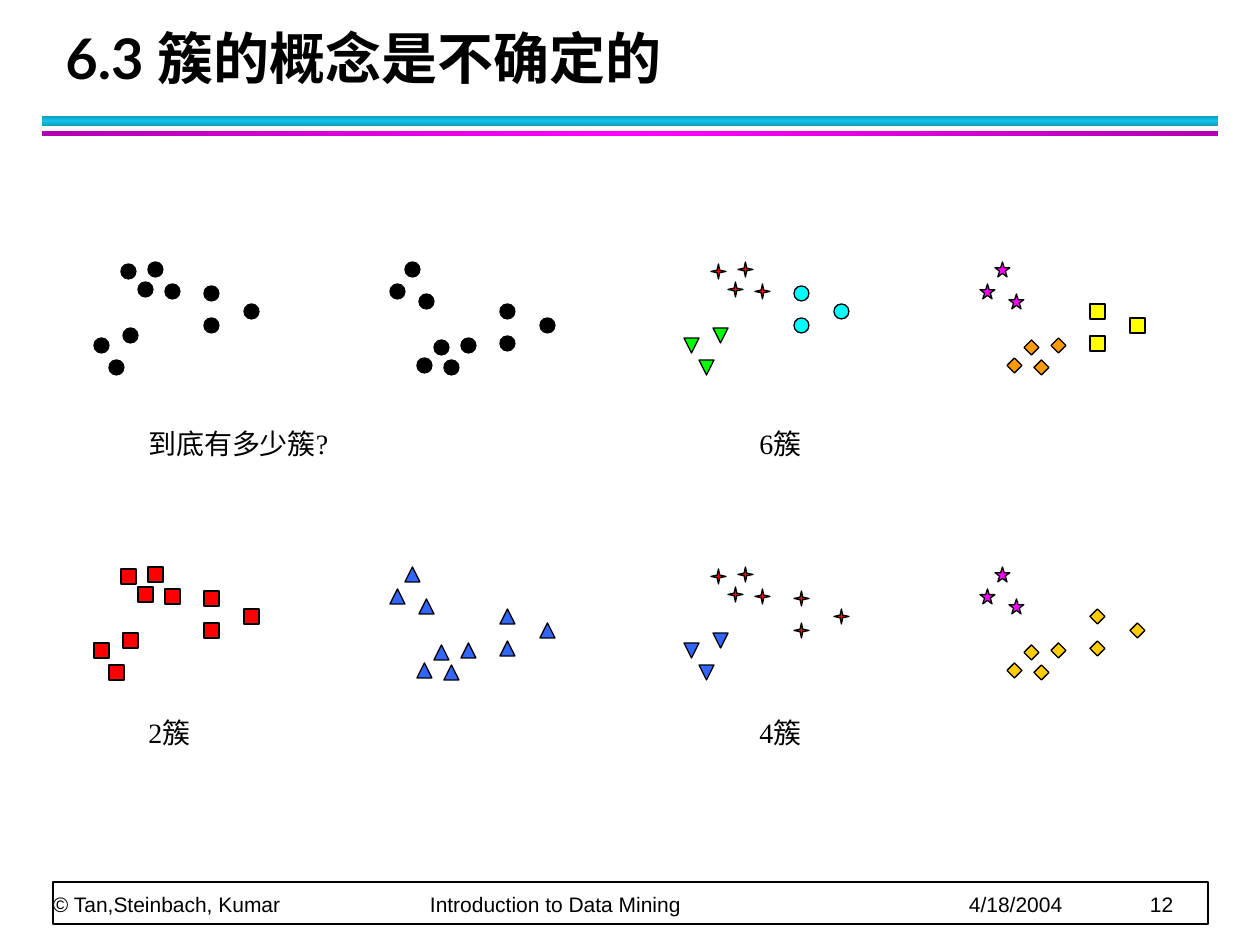
from copy import deepcopy

from lxml.etree import SubElement
from pptx import Presentation
from pptx.dml.color import RGBColor
from pptx.enum.shapes import MSO_SHAPE
from pptx.enum.text import MSO_ANCHOR
from pptx.oxml.ns import qn
from pptx.util import Emu, Pt

COLORS = {
    "black": "000000", "white": "FFFFFF", "red": "FF0000", "blue": "3366FF",
    "green": "00FF00", "cyan": "00FFFF", "magenta": "FF00FF",
    "orange": "FF9900", "yellow": "FFFF00", "gold": "FFCC00",
    "sky": "12C2E9", "sky_dark": "0E9BBA", "purple": "B200B2",
}
MARKERS = {
    "circle": MSO_SHAPE.OVAL, "square": MSO_SHAPE.RECTANGLE,
    "triangle": MSO_SHAPE.ISOSCELES_TRIANGLE, "diamond": MSO_SHAPE.DIAMOND,
    "star4": MSO_SHAPE.STAR_4_POINT, "star5": MSO_SHAPE.STAR_5_POINT,
    "down": MSO_SHAPE.ISOSCELES_TRIANGLE,
}
# Marker offsets in the left half; the right half is its vertical mirror.
FOUR = [(71, 22), (27, 2), (54, 0), (44, 20)]
THREE = [(29, 66), (0, 76), (15, 98)]
SIDE = [(110, 24), (150, 42), (110, 56)]
MARKER_SIZE, MIRROR_HEIGHT, HALF_SHIFT = 15, 98, 296

# Styles follow the order left (four, three, side), right (four, three, side).
BLACK, RED_SQUARE = ("circle", "black"), ("square", "red")
BLUE_UP, BLUE_DOWN = ("triangle", "blue"), ("down", "blue")
RED_STAR, PINK_STAR = ("star4", "red"), ("star5", "magenta")
GOLD = ("diamond", "gold")
PANELS = [  # column, row, caption, styles
    (0, 0, "到底有多少簇?", [BLACK] * 6),
    (1, 1, "4簇", [RED_STAR, BLUE_DOWN, RED_STAR, GOLD, PINK_STAR, GOLD]),
    (0, 1, "2簇", [RED_SQUARE] * 3 + [BLUE_UP] * 3),
    (1, 0, "6簇", [RED_STAR, ("down", "green"), ("circle", "cyan"),
                  ("diamond", "orange"), PINK_STAR, ("square", "yellow")]),
]


def px(n):
    return Emu(round(n * 914400 / 126))


def color(name):
    return RGBColor.from_string(COLORS[name])


def add_shape(shapes, kind, x, y, w, h, fill=None, line=None, width=0.75):
    sp = shapes.add_shape(kind, px(x), px(y), px(w), px(h))
    sp.shadow.inherit = False
    if fill:
        sp.fill.solid()
        sp.fill.fore_color.rgb = color(fill)
    if line:
        sp.line.color.rgb = color(line)
        sp.line.width = Pt(width)
    else:
        sp.line.fill.background()
    return sp


def add_text(shapes, text, x, y, w, h, font, size, bold=False,
             anchor=MSO_ANCHOR.TOP, spacing=None, inset=True, tabs=()):
    tf = shapes.add_textbox(px(x), px(y), px(w), px(h)).text_frame
    tf.word_wrap = True
    tf.vertical_anchor = anchor
    if not inset:
        tf.margin_left = tf.margin_right = tf.margin_top = tf.margin_bottom = 0
    p = tf.paragraphs[0]
    if spacing:
        p.line_spacing = Pt(spacing)
    if tabs:
        tab_list = SubElement(p._p.get_or_add_pPr(), qn("a:tabLst"))
        for pos in tabs:
            SubElement(tab_list, qn("a:tab"), pos=str(px(pos)), algn="l")
    r = p.add_run()
    r.text = text
    r.font.name, r.font.size, r.font.bold = font, Pt(size), bold
    r.font.color.rgb = color("black")


def add_gradient_bar(shapes, x, y, w, h, edge, middle, angle):
    """Bar whose colour runs from edge to middle and back."""
    sp = add_shape(shapes, MSO_SHAPE.RECTANGLE, x, y, w, h)
    sp.fill.gradient()
    sp.fill.gradient_angle = angle
    stops = sp._element.spPr.find(".//" + qn("a:gsLst"))
    stops.append(deepcopy(stops[0]))
    for stop, name, pos in zip(sp.fill.gradient_stops,
                               (edge, middle, edge), (0, 0.5, 1)):
        stop.color.rgb = color(name)
        stop.position = pos


def add_header(shapes, x, y, w):
    add_gradient_bar(shapes, x, y + 95, w, 10, "sky_dark", "sky", 90)
    add_gradient_bar(shapes, x, y + 110, w, 5, "purple", "magenta", 0)
    add_text(shapes, "6.3 簇的概念是不确定的", x + 11, y, w - 34, 76, "Lato", 32,
             bold=True, anchor=MSO_ANCHOR.BOTTOM, spacing=36)


def add_footer(shapes, x, y, w, h):
    add_shape(shapes, MSO_SHAPE.RECTANGLE, x, y, w, h, "white", "black", 1)
    add_text(shapes, "© Tan,Steinbach, Kumar\tIntroduction to Data Mining"
             "\t4/18/2004\t12", x, y - 35, w, 70, "Arial", 12,
             anchor=MSO_ANCHOR.BOTTOM, spacing=20, inset=False,
             tabs=(377, 916, 1097))


def add_panel(shapes, x, y, caption, caption_x, caption_y, styles):
    """One clustering of the twenty points, with its caption."""
    group = shapes.add_group_shape().shapes
    for i, (marker, fill) in enumerate(styles):
        mirrored = i >= 3
        for dx, dy in (FOUR, THREE, SIDE)[i % 3]:
            if mirrored:
                dx, dy = dx + HALF_SHIFT, MIRROR_HEIGHT - dy
            sp = add_shape(group, MARKERS[marker], x + dx, y + dy,
                           MARKER_SIZE, MARKER_SIZE, fill, "black")
            if marker == "down":
                sp.rotation = 180
    add_text(group, caption, x + caption_x, y + caption_y, 315, 47,
             "Times New Roman", 16)


def main():
    prs = Presentation()
    prs.slide_width, prs.slide_height = px(1260), px(945)
    shapes = prs.slides.add_slide(prs.slide_layouts[6]).shapes
    add_header(shapes, 42, 21, 1176)
    add_footer(shapes, 53, 882, 1155, 42)
    for col, row, caption, styles in PANELS:
        add_panel(shapes, 94 + 590 * col, 262 + 305 * row, caption,
                  (42, 63)[col], (158, 142)[row], styles)
    prs.save("out.pptx")


if __name__ == "__main__":
    main()
